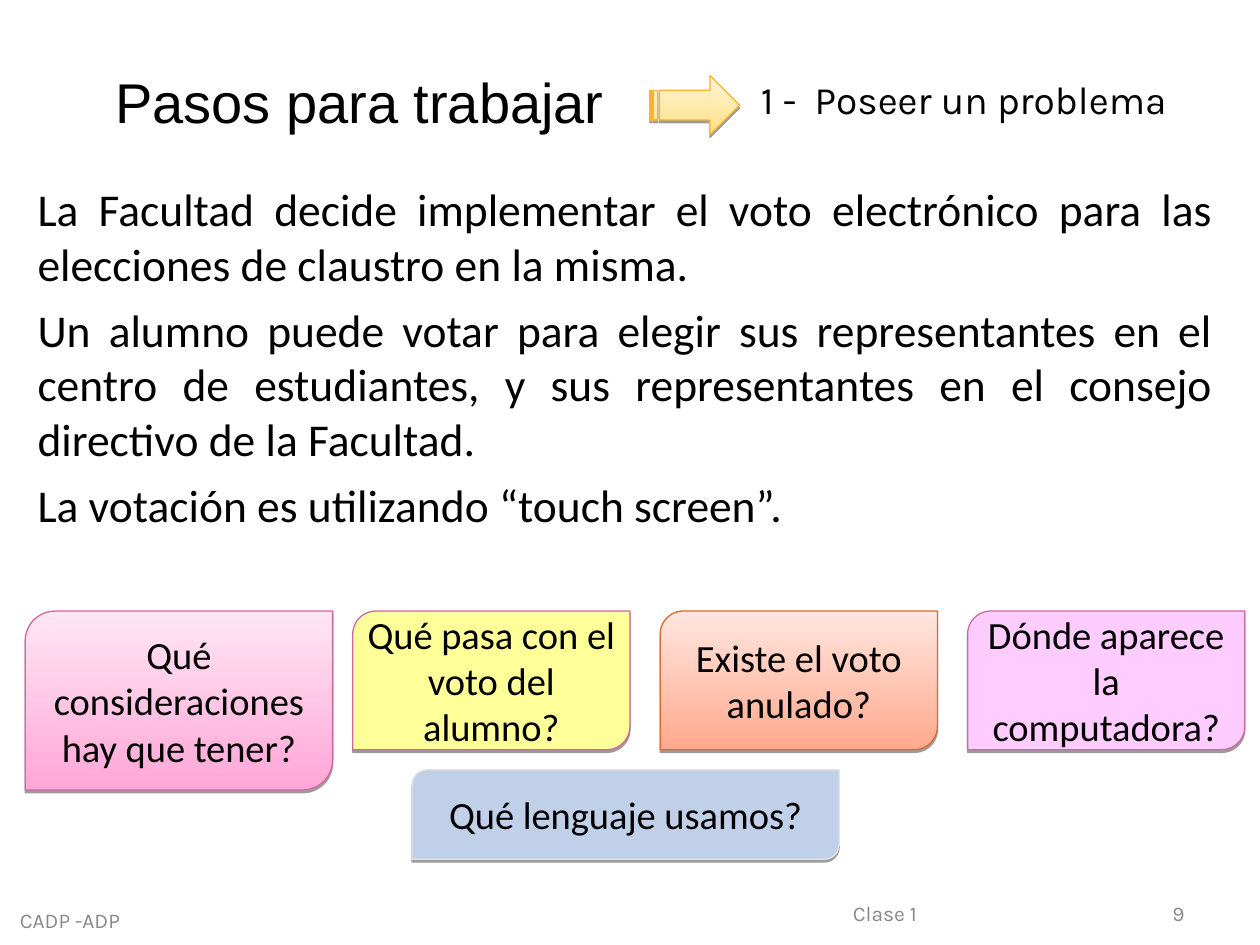
import pptx
import pptx.dml.color
import pptx.enum.shapes
import pptx.enum.text
import pptx.util
import lxml.etree

ALIGN = pptx.enum.text.PP_ALIGN
ANCHOR = pptx.enum.text.MSO_ANCHOR
SHAPE = pptx.enum.shapes.MSO_SHAPE
COLUMNS, ROWS = 100, 75

THEME = {
    "white": "FFFFFF", "text": "000000", "muted": "898989",
    "pink": ("FFA7D7", "FFE6F3"), "yellow": ("FFFF99",),
    "coral": ("FFA98E", "FFE6DF"), "lilac": ("FFCCFF",),
    "blue": ("C1D0E9",), "gold": ("FFE082", "FFF5DA"),
    "pink line": "CD68A1", "coral line": "DD6830",
    "blue line": "E5E3E4", "gold line": "F8B333",
    "title": ("Arial", 32), "body": ("Calibri", 26), "card": ("Calibri", 22),
    "step": ("Karla", 22.2), "footer": ("Karla", 12),
}

presentation = pptx.Presentation()
presentation.slide_width = pptx.util.Inches(10)
presentation.slide_height = pptx.util.Inches(7.5)
column = presentation.slide_width / COLUMNS
row = presentation.slide_height / ROWS
slide = presentation.slides.add_slide(presentation.slide_layouts[5])


def write(shape, paragraphs, style, color="text", anchor=ANCHOR.MIDDLE, **paragraph_format):
    frame = shape.text_frame
    frame.word_wrap = True
    frame.vertical_anchor = anchor
    frame.text = "\n".join(paragraphs)
    name, size = THEME[style]
    for paragraph in frame.paragraphs:
        for attribute, value in paragraph_format.items():
            setattr(paragraph, attribute, value)
        font_format = {"name": name, "size": pptx.util.Pt(size)}
        for attribute, value in font_format.items():
            setattr(paragraph.font, attribute, value)
        paragraph.font.color.rgb = pptx.dml.color.RGBColor.from_string(THEME[color])
    frame.paragraphs[0].space_before = pptx.util.Pt(0)


def decorate(shape, fill, line):
    colors = [pptx.dml.color.RGBColor.from_string(color) for color in THEME[fill]]
    if len(colors) == 2:
        shape.fill.gradient()
        shape.fill.gradient_angle = 90
        for stop, color, position in zip(shape.fill.gradient_stops, colors, (0, 1)):
            stop.color.rgb = color
            stop.position = position
    else:
        shape.fill.solid()
        shape.fill.fore_color.rgb = colors[0]
    shape.line.color.rgb = pptx.dml.color.RGBColor.from_string(THEME[line])
    shape.line.width = pptx.util.Pt(0.75)
    shape.shadow.inherit = False
    namespace = "{http://schemas.openxmlformats.org/drawingml/2006/main}"
    effects = shape.element.spPr.find(namespace + "effectLst")
    shadow = lxml.etree.SubElement(
        effects, namespace + "outerShdw", blurRad="0",
        dist=str(pptx.util.Pt(1.6)), dir="5400000", rotWithShape="0")
    color = lxml.etree.SubElement(shadow, namespace + "srgbClr", val=THEME["text"])
    lxml.etree.SubElement(color, namespace + "alpha", val="38000")


title = slide.shapes.title
title_place = {"left": 1.2 * column, "top": 3.8 * row,
               "width": 54.7 * column, "height": 8.5 * row}
for attribute, value in title_place.items():
    setattr(title, attribute, int(value))
write(title, ["Pasos para trabajar"], "title", alignment=ALIGN.CENTER)

statement = [
    "La Facultad decide implementar el voto electrónico para las elecciones de claustro en la misma.",
    "Un alumno puede votar para elegir sus representantes en el centro de estudiantes, "
    "y sus representantes en el consejo directivo de la Facultad.",
    "La votación es utilizando “touch screen”.",
]
body = slide.shapes.add_textbox(
    int(2 * column), int(13.9 * row), int(95.3 * column), int(28.8 * row))
body.fill.solid()
body.fill.fore_color.rgb = pptx.dml.color.RGBColor.from_string(THEME["white"])
write(body, statement, "body", anchor=ANCHOR.TOP,
      alignment=ALIGN.JUSTIFY, space_before=pptx.util.Pt(6.5))

step = slide.shapes.add_textbox(
    int(59.4 * column), int(5.6 * row), int(38.6 * column), int(5 * row))
write(step, ["1 -  Poseer un problema"], "step", alignment=ALIGN.LEFT, line_spacing=0.9)

arrow = slide.shapes.add_shape(
    SHAPE.STRIPED_RIGHT_ARROW,
    int(51.6 * column), int(6 * row), int(7.1 * column), int(4.7 * row))
decorate(arrow, "gold", "gold line")

card_left, card_top, card_step = 28, 48.5, 24.4
cards = [
    ("Qué consideraciones hay que tener?", 2, card_top, 24.4, 14.2, "pink", "pink line"),
    ("Qué pasa con el voto del alumno?", card_left, card_top, 22, 11, "yellow", "pink line"),
    ("Existe el voto anulado?", card_left + card_step, card_top, 22, 11, "coral", "coral line"),
    ("Dónde aparece la computadora?", card_left + 2 * card_step, card_top, 22, 11, "lilac", "pink line"),
    ("Qué lenguaje usamos?", 32.7, 61.1, 33.9, 7.1, "blue", "blue line"),
]
for question, left, top, width, height, fill, line in cards:
    card = slide.shapes.add_shape(
        SHAPE.ROUND_2_DIAG_RECTANGLE,
        int(left * column), int(top * row), int(width * column), int(height * row))
    decorate(card, fill, line)
    write(card, [question], "card", alignment=ALIGN.CENTER)
    for side in ("margin_left", "margin_right"):
        setattr(card.text_frame, side, int(0.4 * column))
    for side in ("margin_top", "margin_bottom"):
        setattr(card.text_frame, side, 0)

footers = [
    ("CADP -ADP", 0, 71, 11.1, ALIGN.CENTER),
    ("Clase 1", 66.7, 70.5, 29.2, ALIGN.LEFT),
    ("9", 71.7, 70.5, 23.3, ALIGN.RIGHT),
]
for label, left, top, width, alignment in footers:
    footer = slide.shapes.add_textbox(
        int(left * column), int(top * row), int(width * column), int(4 * row))
    write(footer, [label], "footer", color="muted", alignment=alignment)

presentation.save("out.pptx")
